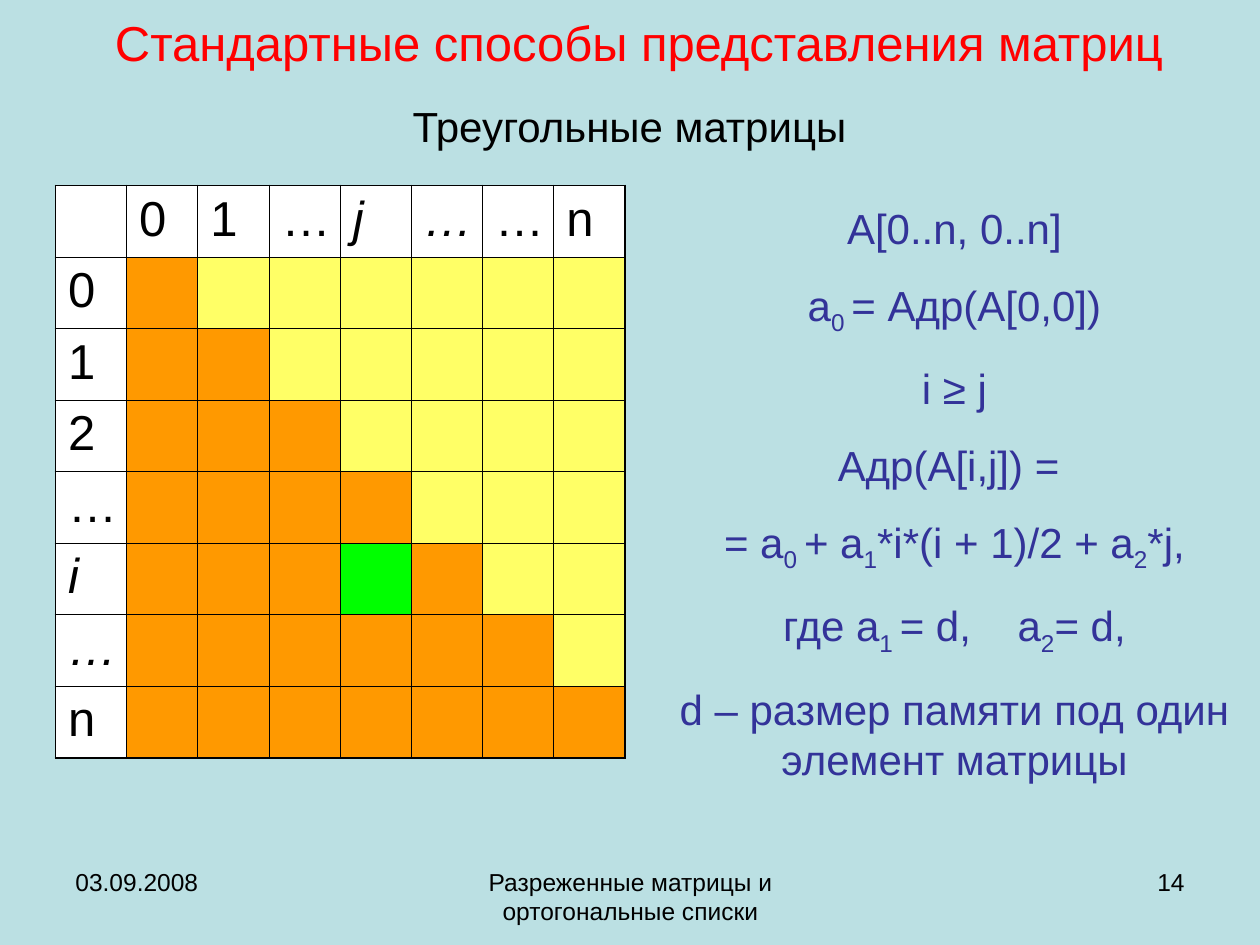
import pptx
import pptx.dml.color
import pptx.enum.text
import pptx.oxml
import pptx.oxml.ns
import pptx.util

Pt = pptx.util.Pt
ALIGN = pptx.enum.text.PP_ALIGN
ANCHOR = pptx.enum.text.MSO_ANCHOR

COLORS = {
    "background": "BBE0E3", "title": "FF0000", "formula": "333399",
    "text": "000000", "header": "FFFFFF", "lower": "FF9900",
    "upper": "FFFF66", "element": "00FF00", "border": "000000",
}
COLUMN_LABELS = ["", "0", "1", "…", "j", "…", "…", "n"]
ROW_LABELS = ["", "0", "1", "2", "…", "i", "…", "n"]
ITALIC_CELLS = {(0, 4), (0, 5), (5, 0), (6, 0)}
ELEMENT_CELL = (5, 4)

# Each line alternates plain text and subscript.
FORMULAS = [
    ["A[0..n, 0..n]"],
    ["a", "0 ", "= Адр(A[0,0])"],
    ["i ≥ j"],
    ["Адр(A[i,j]) = "],
    ["= a", "0 ", "+ a", "1", "*i*(i + 1)/2 + a", "2", "*j,"],
    ["где a", "1 ", "= d,\ta", "2", "= d,"],
    ["d – размер памяти под один элемент матрицы"],
]
FORMULA_TAB = 134


def rgb(name):
    return pptx.dml.color.RGBColor.from_string(COLORS[name])


def style_font(font, size, color, **formats):
    font.color.rgb = rgb(color)
    formats.update(name="Arial", size=Pt(size))
    for key, value in formats.items():
        setattr(font, key, value)


def add_tab_stop(para, position):
    namespace = pptx.oxml.ns.nsdecls("a")
    para._p.get_or_add_pPr().append(pptx.oxml.parse_xml(
        f'<a:tabLst {namespace}><a:tab pos="{Pt(position)}" algn="l"/></a:tabLst>'))


def fill_paragraph(para, pieces, size, color, align):
    """Write pieces as runs, every second one as a subscript."""
    para.alignment = align
    for index, piece in enumerate(pieces):
        span = para.add_run()
        span.text = piece
        style_font(span.font, size, color)
        if index % 2:
            span._r.get_or_add_rPr().set("baseline", "-25000")


def add_text(slide, place, lines, size, color="text", align=ALIGN.CENTER,
             gap=0, **formats):
    frame = slide.shapes.add_textbox(*map(Pt, place)).text_frame
    formats["word_wrap"] = True
    for key, value in formats.items():
        setattr(frame, key, value)
    for index, pieces in enumerate(lines):
        para = frame.add_paragraph() if index else frame.paragraphs[0]
        if any("\t" in piece for piece in pieces):
            add_tab_stop(para, FORMULA_TAB)
        if index:
            para.space_before = Pt(gap)
        fill_paragraph(para, pieces, size, color, align)


def set_borders(cell, widths):
    """Give the cell left, right, top and bottom lines of these widths."""
    namespace = pptx.oxml.ns.nsdecls("a")
    properties = cell._tc.get_or_add_tcPr()
    for side, width in zip("LRTB", widths):
        properties.append(pptx.oxml.parse_xml(
            f'<a:ln{side} {namespace} w="{Pt(width)}"><a:solidFill>'
            f'<a:srgbClr val="{COLORS["border"]}"/></a:solidFill></a:ln{side}>'))


def cell_color(row, column):
    if row == 0 or column == 0:
        return "header"
    if (row, column) == ELEMENT_CELL:
        return "element"
    return "lower" if column <= row else "upper"


def add_matrix(slide, left, top, width, height):
    rows, columns = len(ROW_LABELS), len(COLUMN_LABELS)
    table = slide.shapes.add_table(
        rows, columns, Pt(left), Pt(top), Pt(width), Pt(height)).table
    table.first_row = table.horz_banding = False
    for row in range(rows):
        for column in range(columns):
            cell = table.cell(row, column)
            outer = (column == 0, column == columns - 1, row == 0, row == rows - 1)
            set_borders(cell, [1.08 if edge else 0.45 for edge in outer])
            cell.fill.solid()
            cell.fill.fore_color.rgb = rgb(cell_color(row, column))
            label = COLUMN_LABELS[column] if row == 0 else ROW_LABELS[row]
            if label and (row == 0 or column == 0):
                span = cell.text_frame.paragraphs[0].add_run()
                span.text = label
                style_font(span.font, 28, "text",
                           italic=(row, column) in ITALIC_CELLS)


def main():
    deck = pptx.Presentation()
    deck.slide_width, deck.slide_height = Pt(720), Pt(540)
    slide = deck.slides.add_slide(deck.slide_layouts[6])
    slide.background.fill.solid()
    slide.background.fill.fore_color.rgb = rgb("background")

    add_text(slide, (41.8, 12.2, 648, 23.8),
             [["Стандартные способы представления матриц"]], 28, "title",
             vertical_anchor=ANCHOR.MIDDLE, margin_left=Pt(1.4),
             margin_right=Pt(2.9), margin_top=Pt(0.7), margin_bottom=Pt(0.7))
    add_matrix(slide, 31.7, 106, 325.6, 327.2)
    add_text(slide, (370.8, 112.3, 349.2, 427), FORMULAS, 24, "formula", gap=15)
    add_text(slide, (92.2, 54, 535, 36), [["Треугольные матрицы"]], 24)

    footer_top, footer_height = 491.8, 37.4
    footers = [
        (246.2, 228.2, "Разреженные матрицы и ортогональные списки", ALIGN.CENTER),
        (516, 168, "14", ALIGN.RIGHT),
        (36, 168, "03.09.2008", ALIGN.LEFT),
    ]
    for left, width, words, align in footers:
        add_text(slide, (left, footer_top, width, footer_height),
                 [[words]], 14, align=align)
    deck.save("out.pptx")


if __name__ == "__main__":
    main()
